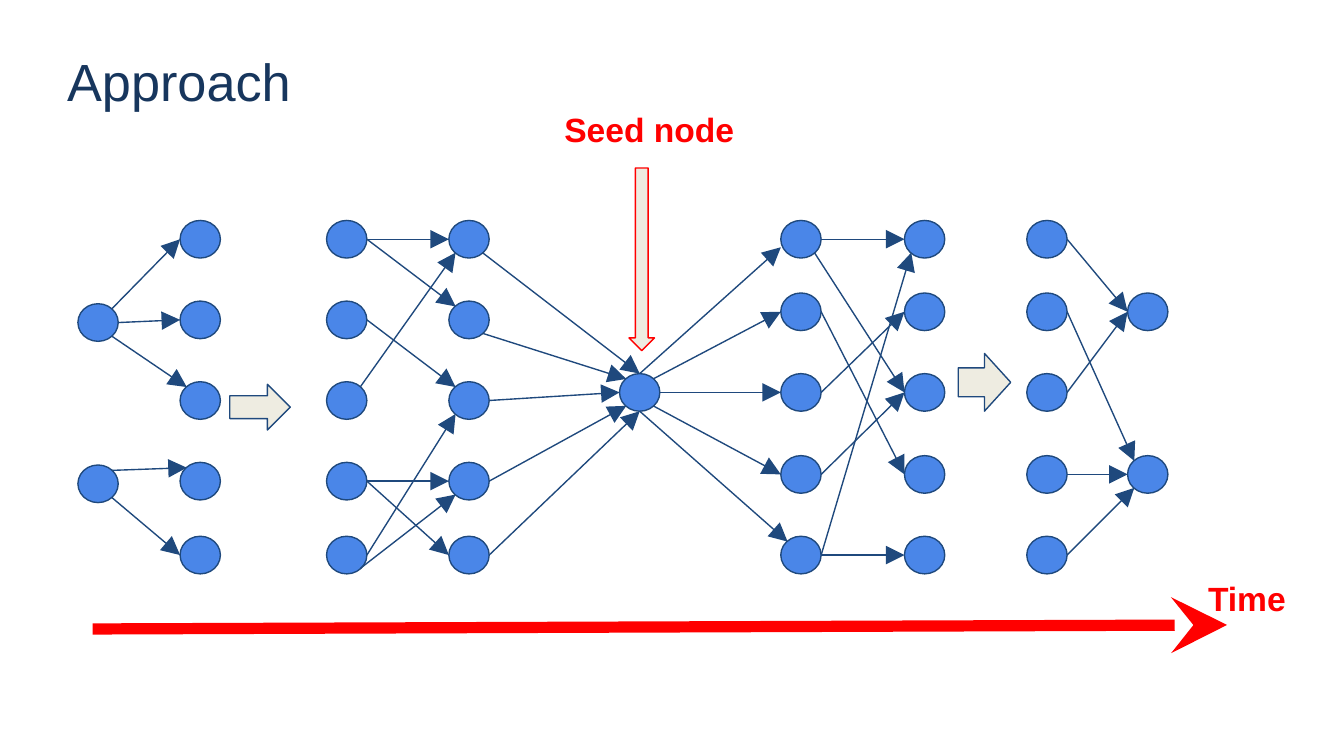
import pptx
import pptx.util
import pptx.dml.color
import pptx.enum.shapes
import pptx.enum.text
import lxml.etree
import pptx.oxml.ns

Inches, Pt = pptx.util.Inches, pptx.util.Pt
RGBColor = pptx.dml.color.RGBColor
SHAPE = pptx.enum.shapes.MSO_SHAPE
qn = pptx.oxml.ns.qn

NAVY = RGBColor(0x17, 0x36, 0x5D)
EDGE = RGBColor(0x1F, 0x49, 0x7D)
NODE = RGBColor(0x4A, 0x86, 0xE8)
CREAM = RGBColor(0xEE, 0xEC, 0xE1)
RED = RGBColor(0xFF, 0x00, 0x00)
FONT = "Arial"

# Node columns in time order: centre x, then the centre y of each node
PAST_ROWS = (1.78, 2.38, 2.98, 3.58, 4.13)
FUTURE_ROWS = (1.78, 2.32, 2.92, 3.53, 4.13)
COLUMNS = {
    "A": (0.73, (2.40, 3.60)),
    "B": (1.49, PAST_ROWS),
    "C": (2.58, PAST_ROWS),
    "D": (3.49, PAST_ROWS),
    "S": (4.76, (2.92,)),
    "E": (5.96, FUTURE_ROWS),
    "F": (6.88, FUTURE_ROWS),
    "G": (7.79, FUTURE_ROWS),
    "H": (8.54, (2.32, 3.53)),
}
NODE_W, NODE_H = 0.30, 0.28

# Points on a node's rim, as offsets from its centre
RIM = {
    "N": (0, -0.14), "S": (0, 0.14), "E": (0.15, 0), "W": (-0.15, 0),
    "NE": (0.1, -0.1), "NW": (-0.1, -0.1), "SE": (0.1, 0.1), "SW": (-0.1, 0.1),
    "WSW": (-0.15, 0.06),
}

# Edges per column pair: (from row, rim point, to row, rim point)
EDGES = {
    "AB": [(0, "NE", 0, "W"), (0, "E", 1, "W"), (0, "SE", 2, "NW"),
           (1, "NE", 3, "NW"), (1, "SE", 4, "W")],
    "CD": [(0, "E", 1, "NW"), (1, "E", 2, "NW"), (2, "NE", 0, "SW"),
           (0, "E", 0, "W"), (3, "E", 3, "W"), (4, "E", 2, "SW"),
           (4, "SE", 3, "SW"), (3, "E", 4, "W")],
    "DS": [(0, "SE", 0, "N"), (1, "SE", 0, "NW"), (2, "E", 0, "W"),
           (3, "E", 0, "SW"), (4, "E", 0, "S")],
    "SE": [(0, "N", 0, "WSW"), (0, "NE", 1, "W"), (0, "E", 2, "W"),
           (0, "SE", 3, "W"), (0, "S", 4, "NW")],
    "EF": [(0, "E", 0, "W"), (0, "SE", 2, "W"), (1, "E", 3, "W"),
           (2, "E", 1, "W"), (3, "E", 2, "W"), (4, "E", 0, "SW"),
           (4, "E", 4, "W")],
    "GH": [(0, "E", 0, "W"), (1, "E", 1, "NW"), (2, "E", 0, "W"),
           (3, "E", 1, "W"), (4, "E", 1, "SW")],
}

# Block arrows: preset, (left, top, width, height), outline
BLOCK_ARROWS = [
    (SHAPE.RIGHT_ARROW, (1.71, 2.86, 0.45, 0.34), EDGE),
    (SHAPE.RIGHT_ARROW, (7.13, 2.63, 0.39, 0.43), EDGE),
    (SHAPE.DOWN_ARROW, (4.68, 1.25, 0.19, 1.36), RED),
]
LABELS = [
    ("Seed node", (4.10, 0.71, 1.59, 0.42)),
    ("Time", (8.89, 4.20, 0.94, 0.56)),
]
TIME_AXIS = ((0.69, 4.68), (9.13, 4.65))

# Widescreen 16:9 slide
deck = pptx.Presentation()
deck.slide_width = Inches(10)
deck.slide_height = deck.slide_width * 9 // 16
slide = deck.slides.add_slide(deck.slide_layouts[0])


def add_preset(preset, box, fill, outline):
    shape = slide.shapes.add_shape(preset, *map(Inches, box))
    shape.shadow.inherit = False
    shape.fill.solid()
    shape.fill.fore_color.rgb = fill
    shape.line.color.rgb = outline
    shape.line.width = Pt(0.75)


def add_arrow(start, end, color, width, head):
    arrow = slide.shapes.add_connector(
        pptx.enum.shapes.MSO_CONNECTOR.STRAIGHT, *map(Inches, (*start, *end)))
    arrow.line.color.rgb = color
    arrow.line.width = Pt(width)
    properties = arrow._element.spPr
    lxml.etree.SubElement(properties.find(qn("a:ln")), qn("a:tailEnd"),
                          type=head, w="lg", len="lg")
    lxml.etree.SubElement(properties, qn("a:effectLst"))


def format_text(frame, text, size, color, bold):
    frame.text = text
    frame.word_wrap = True
    frame.auto_size = pptx.enum.text.MSO_AUTO_SIZE.NONE
    frame.margin_left = frame.margin_right = Inches(0.1)
    frame.margin_top = frame.margin_bottom = Inches(0.1)
    paragraph = frame.paragraphs[0]
    paragraph.alignment = pptx.enum.text.PP_ALIGN.LEFT
    font = paragraph.runs[0].font
    font.name, font.size, font.bold = FONT, Pt(size), bold
    font.color.rgb = color


def rim_point(column, row, side):
    x, rows = COLUMNS[column]
    dx, dy = RIM[side]
    return x + dx, rows[row] + dy


# Title
title = slide.shapes.title
title.left, title.top, title.width, title.height = map(
    Inches, (0.4, -0.28, 8.5, 1.21))
format_text(title.text_frame, "Approach", 28, NAVY, False)
title.text_frame.vertical_anchor = pptx.enum.text.MSO_ANCHOR.BOTTOM
subtitle = slide.placeholders[1]._element
subtitle.getparent().remove(subtitle)

# Nodes
for x, rows in COLUMNS.values():
    for y in rows:
        box = (x - NODE_W / 2, y - NODE_H / 2, NODE_W, NODE_H)
        add_preset(SHAPE.OVAL, box, NODE, EDGE)

# Edges between neighbouring columns
for (source, target), links in EDGES.items():
    for from_row, from_side, to_row, to_side in links:
        add_arrow(rim_point(source, from_row, from_side),
                  rim_point(target, to_row, to_side), EDGE, 0.75, "triangle")

# Block arrows, time axis and labels
for preset, box, outline in BLOCK_ARROWS:
    add_preset(preset, box, CREAM, outline)
add_arrow(*TIME_AXIS, RED, 6, "stealth")
for text, box in LABELS:
    label = slide.shapes.add_textbox(*map(Inches, box))
    format_text(label.text_frame, text, 18, RED, True)

deck.save("out.pptx")
